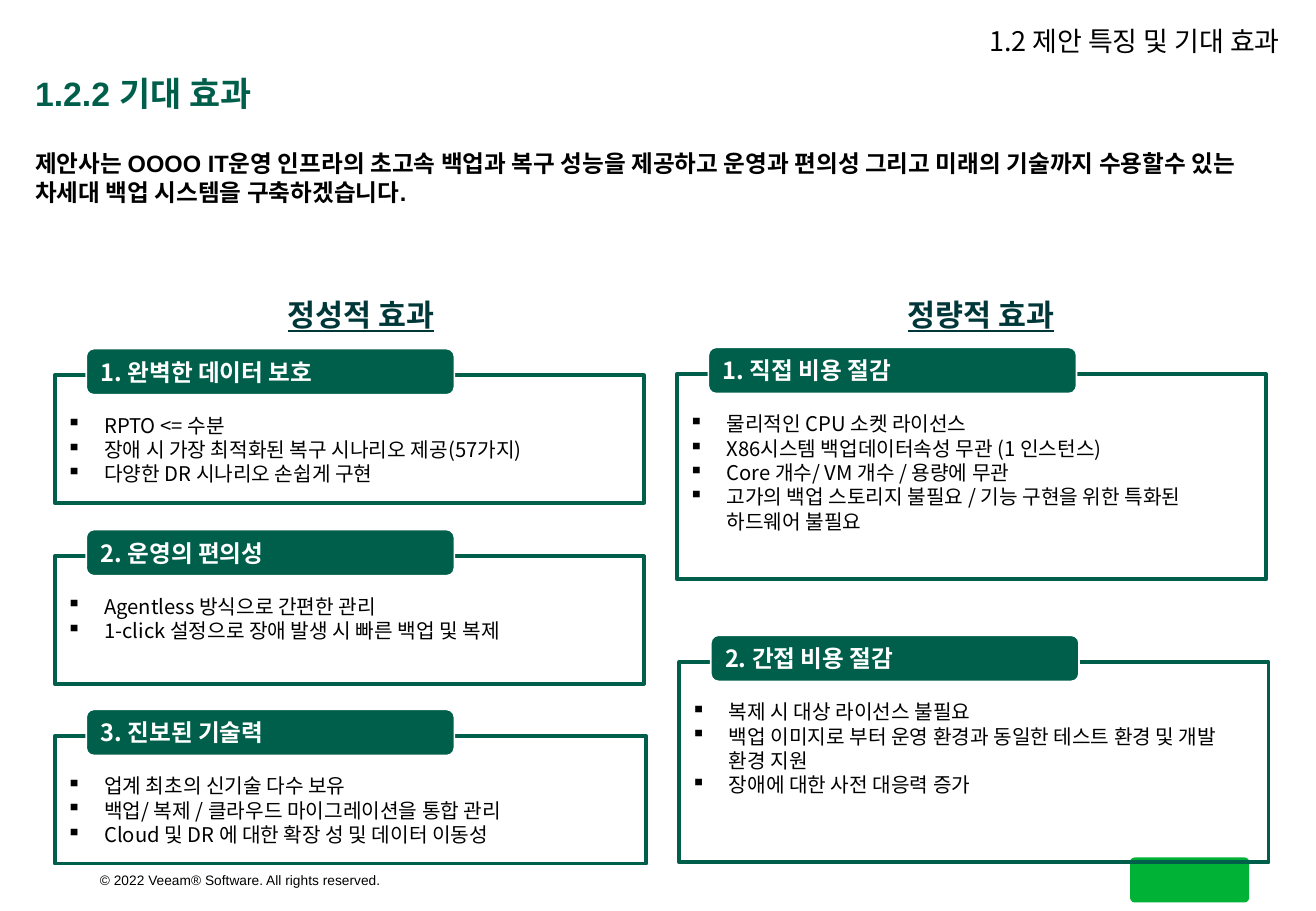
from lxml import etree
from pptx import Presentation
from pptx import util as u
from pptx.dml.color import RGBColor
from pptx.enum import shapes, text
from pptx.oxml.ns import qn

GREEN = RGBColor(0x00, 0x5F, 0x4B)
TEAL = RGBColor(0x00, 0x37, 0x38)
BADGE_GREEN = RGBColor(0x00, 0xB3, 0x36)
BLACK = RGBColor(0x00, 0x00, 0x00)
WHITE = RGBColor(0xFF, 0xFF, 0xFF)
KOREAN_FONT = "Noto Sans CJK KR"
TAG_SHIFT_X, TAG_RISE = 0.26, 0.22
BULLET_INDENT = 0.31

QUALITATIVE = [
    (0.45, 3.09, 4.85, 1.05, "1. 완벽한 데이터 보호", [
        "RPTO <= 수분",
        "장애 시 가장 최적화된 복구 시나리오 제공(57가지)",
        "다양한 DR 시나리오 손쉽게 구현"]),
    (0.45, 4.58, 4.85, 1.05, "2. 운영의 편의성", [
        "Agentless 방식으로 간편한 관리",
        "1-click 설정으로 장애 발생 시 빠른 백업 및 복제"]),
    (0.45, 6.06, 4.87, 1.05, "3. 진보된 기술력", [
        "업계 최초의 신기술 다수 보유",
        "백업/ 복제 / 클라우드 마이그레이션을 통합 관리",
        "Cloud 및 DR 에 대한 확장 성 및 데이터 이동성"]),
]
QUANTITATIVE = [
    (5.57, 3.08, 4.85, 1.69, "1. 직접 비용 절감", [
        "물리적인 CPU 소켓 라이선스",
        "X86시스템 백업데이터속성 무관 (1 인스턴스)",
        "Core 개수/ VM 개수 / 용량에 무관",
        "고가의 백업 스토리지 불필요 / 기능 구현을 위한 특화된 하드웨어 불필요"]),
    (5.59, 5.45, 4.85, 1.65, "2. 간접 비용 절감", [
        "복제 시 대상 라이선스 불필요",
        "백업 이미지로 부터 운영 환경과 동일한 테스트 환경 및 개발 환경 지원",
        "장애에 대한 사전 대응력 증가"]),
]


def write(shape, lines, size, color=BLACK, font=KOREAN_FONT, bold=False,
          underline=False, align=text.PP_ALIGN.LEFT, anchor=text.MSO_ANCHOR.TOP,
          spacing=None, wrap=True, bullet=None, top_inset=0.05):
    """Fill a shape with formatted paragraphs."""
    frame = shape.text_frame
    frame.word_wrap = wrap
    frame.vertical_anchor = anchor
    frame.margin_top = u.Inches(top_inset)
    for number, line in enumerate(lines):
        paragraph = frame.add_paragraph() if number else frame.paragraphs[0]
        paragraph.alignment = align
        if spacing:
            paragraph.line_spacing = spacing
        if bullet:
            properties = paragraph._p.get_or_add_pPr()
            properties.set("marL", str(u.Inches(BULLET_INDENT)))
            properties.set("indent", str(-u.Inches(BULLET_INDENT)))
            etree.SubElement(properties, qn("a:buChar")).set("char", bullet)
        run = paragraph.add_run()
        run.text = line
        run.font.size = u.Pt(size)
        run.font.bold = bold
        run.font.underline = underline
        run.font.color.rgb = color
        run.font.name = font
        east_asian = etree.SubElement(run._r.get_or_add_rPr(), qn("a:ea"))
        east_asian.set("typeface", KOREAN_FONT)


def add_text(slide, box, line, size, **style):
    """Add a text box holding one paragraph."""
    shape = slide.shapes.add_textbox(*map(u.Inches, box))
    write(shape, [line], size, **style)


def add_box(slide, kind, box, fill=None, line=None, width=1):
    """Add a preset shape with a plain fill and outline."""
    shape = slide.shapes.add_shape(kind, *map(u.Inches, box))
    shape.shadow.inherit = False
    if fill is None:
        shape.fill.background()
    else:
        shape.fill.solid()
        shape.fill.fore_color.rgb = fill
    if line is None:
        shape.line.fill.background()
    else:
        shape.line.color.rgb = line
        shape.line.width = u.Pt(width)
    return shape


def add_footer(slide, left, top):
    """Add the copyright line and the plain badge."""
    add_text(slide, (left, top + 0.07, 2.53, 0.24),
             "© 2022 Veeam® Software. All rights reserved.", 8.1,
             font="Arial", align=text.PP_ALIGN.RIGHT, wrap=False)
    badge = add_box(slide, shapes.MSO_SHAPE.ROUNDED_RECTANGLE,
                    (left + 8.6, top, 0.98, 0.37), fill=BADGE_GREEN)
    badge.adjustments[0] = 0.1


def add_header(slide, left, top):
    """Add the section name, the title and the lead sentence."""
    middle = text.MSO_ANCHOR.MIDDLE
    add_text(slide, (left, top + 0.43, 9.6, 0.39), "1.2.2 기대 효과", 20,
             color=GREEN, font="Arial", bold=True, anchor=middle, spacing=0.9)
    add_text(slide, (left, top + 1.02, 10.24, 1.18),
             "제안사는 OOOO IT운영 인프라의 초고속 백업과 복구 성능을 제공하고 "
             "운영과 편의성 그리고 미래의 기술까지 수용할수 있는 "
             "차세대 백업 시스템을 구축하겠습니다.",
             14, font="Arial", bold=True)
    add_text(slide, (left + 6.11, top, 4.33, 0.39), "1.2 제안 특징 및 기대 효과", 16,
             align=text.PP_ALIGN.RIGHT, anchor=middle, spacing=0.9)


def add_panel(slide, left, top, width, height, heading, items):
    """Add an outlined bullet panel with a heading tag on its top edge."""
    panel = add_box(slide, shapes.MSO_SHAPE.RECTANGLE,
                    (left, top, width, height), line=GREEN, width=2.25)
    write(panel, items, 12, bullet="▪", top_inset=0.31)
    tag = add_box(slide, shapes.MSO_SHAPE.ROUNDED_RECTANGLE,
                  (left + TAG_SHIFT_X, top - TAG_RISE, 3.03, 0.38),
                  fill=GREEN, line=WHITE)
    write(tag, [heading], 14, color=WHITE, bold=True,
          anchor=text.MSO_ANCHOR.MIDDLE)


def add_column(slide, left, top, heading, panels):
    """Add an underlined column heading and its panels."""
    for panel in panels:
        add_panel(slide, *panel)
    add_text(slide, (left, top, 1.55, 0.4), heading, 18, color=TEAL,
             bold=True, underline=True, wrap=False)


def main():
    """Build and save the slide."""
    presentation = Presentation()
    presentation.slide_width = u.Inches(10.83)
    presentation.slide_height = u.Inches(7.5)
    slide = presentation.slides.add_slide(presentation.slide_layouts[6])
    add_footer(slide, 0.7, 7.06)
    add_header(slide, 0.19, 0.16)
    add_column(slide, 2.27, 2.39, "정성적 효과", QUALITATIVE)
    add_column(slide, 7.37, 2.39, "정량적 효과", QUANTITATIVE)
    presentation.save("out.pptx")


if __name__ == "__main__":
    main()
